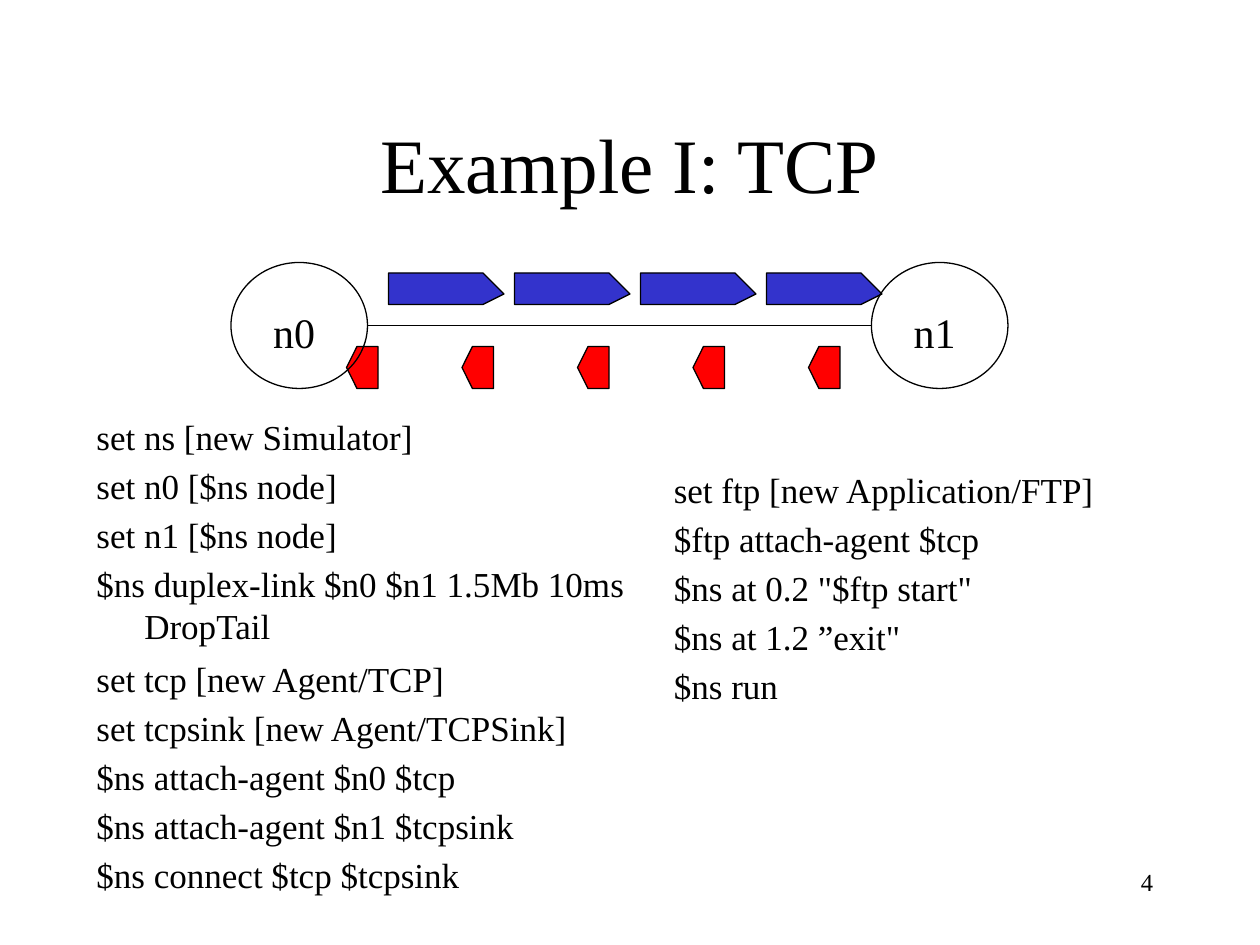
import pptx
import pptx.util
import pptx.dml.color
import pptx.enum.shapes
import pptx.enum.text
import pptx.oxml
import pptx.oxml.ns

COLS, ROWS = 120, 90
CELL = pptx.util.Inches(10) // COLS
FONT = "Times New Roman"
HUES = {"ink": "000000", "data": "3333CC", "ack": "FF0000"}
ALIGN = pptx.enum.text.PP_ALIGN

SETUP = ["set ns [new Simulator]", "set n0 [$ns node]", "set n1 [$ns node]"]
LINK = ["$ns duplex-link $n0 $n1 1.5Mb 10ms DropTail"]
AGENTS = ["set tcp [new Agent/TCP]", "set tcpsink [new Agent/TCPSink]",
          "$ns attach-agent $n0 $tcp", "$ns attach-agent $n1 $tcpsink",
          "$ns connect $tcp $tcpsink"]
RUN = ["set ftp [new Application/FTP]", "$ftp attach-agent $tcp",
       '$ns at 0.2 "$ftp start"', '$ns at 1.2 \u201dexit"', "$ns run"]


def grid(*cells):
    """Turn grid cells into lengths."""
    return [round(n * CELL) for n in cells]


def hue(name):
    """Look up a colour by name."""
    return pptx.dml.color.RGBColor.from_string(HUES[name])


def text(shapes, box, lines, size, align=ALIGN.LEFT, wrap=True):
    """Add a text box with one paragraph for each line."""
    frame = shapes.add_textbox(*grid(*box)).text_frame
    frame.word_wrap = wrap
    frame.text = "\n".join(lines)
    for para in frame.paragraphs:
        para.alignment = align
        font = para.runs[0].font
        font.name, font.size = FONT, pptx.util.Pt(size)
        font.color.rgb = hue("ink")
    return frame


def code(shapes, box, lines):
    """Add code lines with a hanging indent and relative spacing."""
    hang = pptx.util.Inches(0.38)
    for para in text(shapes, box, lines, 20).paragraphs:
        props = para._p.get_or_add_pPr()
        props.set("marL", str(hang))
        props.set("indent", str(-hang))
        space = pptx.oxml.parse_xml(
            "<a:spcBef %s><a:spcPct val='20000'/></a:spcBef>"
            % pptx.oxml.ns.nsdecls("a"))
        props.insert(0, space)


def edge(shape):
    """Give a shape or connector a thin dark line."""
    shape.line.color.rgb = hue("ink")
    shape.line.width = pptx.util.Pt(0.75)


def wire(shapes, start, end):
    """Join two grid points with a straight line."""
    kind = pptx.enum.shapes.MSO_CONNECTOR.STRAIGHT
    line = shapes.add_connector(kind, *grid(*start, *end))
    edge(line)
    props = line._element.spPr
    props.append(props.makeelement(pptx.oxml.ns.qn("a:effectLst"), {}))


def packet(shapes, left, top, points, fill):
    """Draw a pointed packet from points relative to its corner."""
    spots = [(left + x, top + y) for x, y in points]
    path = shapes.build_freeform(*spots[0], scale=CELL)
    path.add_line_segments(spots[1:], close=True)
    shape = path.convert_to_shape()
    shape.shadow.inherit = False
    shape.fill.solid()
    shape.fill.fore_color.rgb = hue(fill)
    edge(shape)


def node(shapes, left, top, name):
    """Draw a hollow node with its label."""
    ring = shapes.add_shape(pptx.enum.shapes.MSO_SHAPE.OVAL,
                            *grid(left, top, 13, 12))
    ring.shadow.inherit = False
    ring.fill.background()
    edge(ring)
    text(shapes, (left + 2.84, top + 3.56, 6.36, 6), [name], 24, wrap=False)


def main():
    """Build the slide and save it."""
    deck = pptx.Presentation()
    deck.slide_width, deck.slide_height = grid(COLS, ROWS)
    shapes = deck.slides.add_slide(deck.slide_layouts[6]).shapes

    title = text(shapes, (9, 8, 102, 15), ["Example I: TCP"], 44, ALIGN.CENTER)
    title.vertical_anchor = pptx.enum.text.MSO_ANCHOR.MIDDLE
    text(shapes, (86, 82, 25, 6), ["4"], 14, ALIGN.RIGHT)

    wire(shapes, (35, 31), (83, 31))
    data = [(0, 0), (9, 0), (11, 2), (9, 3), (0, 3)]
    ack = [(3, 0), (1, 0), (0, 2), (1, 4), (3, 4)]
    for i in range(4):
        packet(shapes, 37 + 12 * i, 26, data, "data")
    for i in range(5):
        packet(shapes, 33 + 11 * i, 33, ack, "ack")
    pair = shapes.add_group_shape().shapes
    for i in range(2):
        node(pair, 22 + 61 * i, 25, "n%d" % i)

    code(shapes, (8, 39, 56, 17), SETUP)
    code(shapes, (8, 53, 56, 11), LINK)
    code(shapes, (8, 62, 56, 23), AGENTS)
    code(shapes, (63, 44, 55, 40), RUN)
    deck.save("out.pptx")


main()
